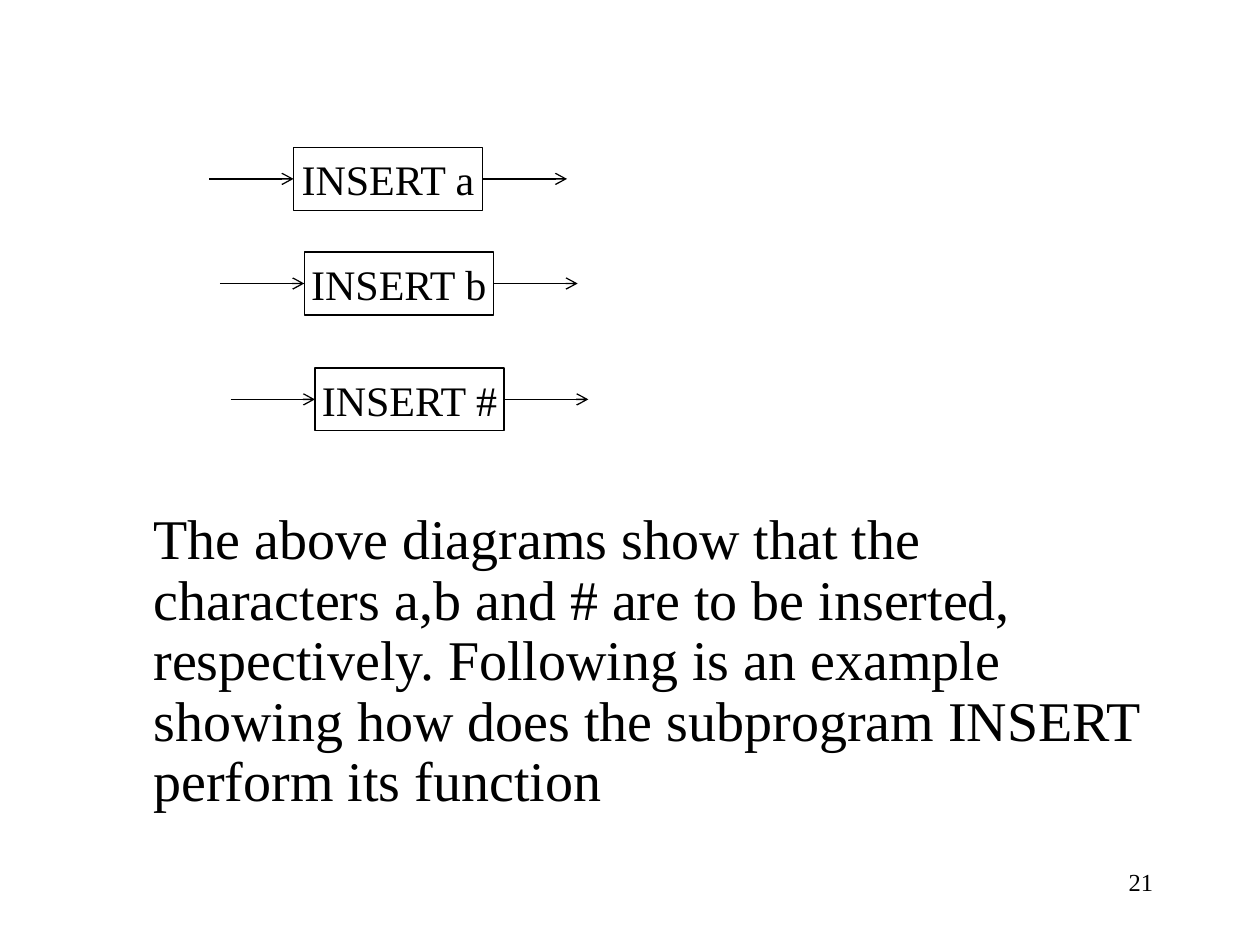
from dataclasses import dataclass

from lxml import etree
from pptx import Presentation
from pptx import util as u
from pptx.dml.color import RGBColor
from pptx.enum import shapes, text
from pptx.oxml.ns import qn


@dataclass
class Theme:
    ink = RGBColor(0, 0, 0)
    font = "Times New Roman"
    label = u.Pt(24)
    body = u.Pt(32)
    number = u.Pt(14)
    line = u.Pt(0.75)


theme = Theme()
deck = Presentation()
deck.slide_width, deck.slide_height = u.Inches(10), u.Inches(7.5)
page = deck.slides.add_slide(deck.slide_layouts[6])


def write(box, words, size, align):
    box.text_frame.text = words
    para = box.text_frame.paragraphs[0]
    para.alignment = align
    font = para.runs[0].font
    font.name, font.size, font.color.rgb = theme.font, size, theme.ink
    return para


def add_arrow(left, y, length):
    arrow = page.shapes.add_connector(
        shapes.MSO_CONNECTOR.STRAIGHT,
        u.Inches(left), u.Inches(y), u.Inches(left + length), u.Inches(y),
    )
    arrow.line.color.rgb = theme.ink
    arrow.line.width = theme.line
    outline = arrow.line._get_or_add_ln()
    etree.SubElement(outline, qn("a:tailEnd"), type="arrow")
    etree.SubElement(arrow._element.spPr, qn("a:effectLst"))


box_width, box_height, arrow_length = 1.5, 0.5, 0.67
for step, (character, top) in enumerate([("a", 1.17), ("b", 2), ("#", 2.92)]):
    left = 2.33 + step * 0.085
    middle = top + box_height / 2
    box = page.shapes.add_shape(
        shapes.MSO_SHAPE.RECTANGLE,
        u.Inches(left), u.Inches(top), u.Inches(box_width), u.Inches(box_height),
    )
    box.shadow.inherit = False
    box.fill.background()
    box.line.color.rgb = theme.ink
    box.line.width = theme.line
    box.text_frame.word_wrap = False
    box.text_frame.vertical_anchor = text.MSO_ANCHOR.MIDDLE
    write(box, f"INSERT {character}", theme.label, text.PP_ALIGN.CENTER)
    add_arrow(left - arrow_length, middle, arrow_length)
    add_arrow(left + box_width, middle, arrow_length)

explanation = page.shapes.add_textbox(
    u.Inches(1.12), u.Inches(4.01), u.Inches(8.13), u.Inches(2.66)
)
explanation.text_frame.word_wrap = True
para = write(
    explanation,
    "The above diagrams show that the characters a,b and # are to be inserted, "
    "respectively. Following is an example showing how does the subprogram "
    "INSERT perform its function",
    theme.body,
    text.PP_ALIGN.LEFT,
)
para.line_spacing = 0.9

page_number = page.shapes.add_textbox(
    u.Inches(7.17), u.Inches(6.83), u.Inches(2.08), u.Inches(0.5)
)
page_number.text_frame.word_wrap = True
write(page_number, "21", theme.number, text.PP_ALIGN.RIGHT)

deck.save("out.pptx")
